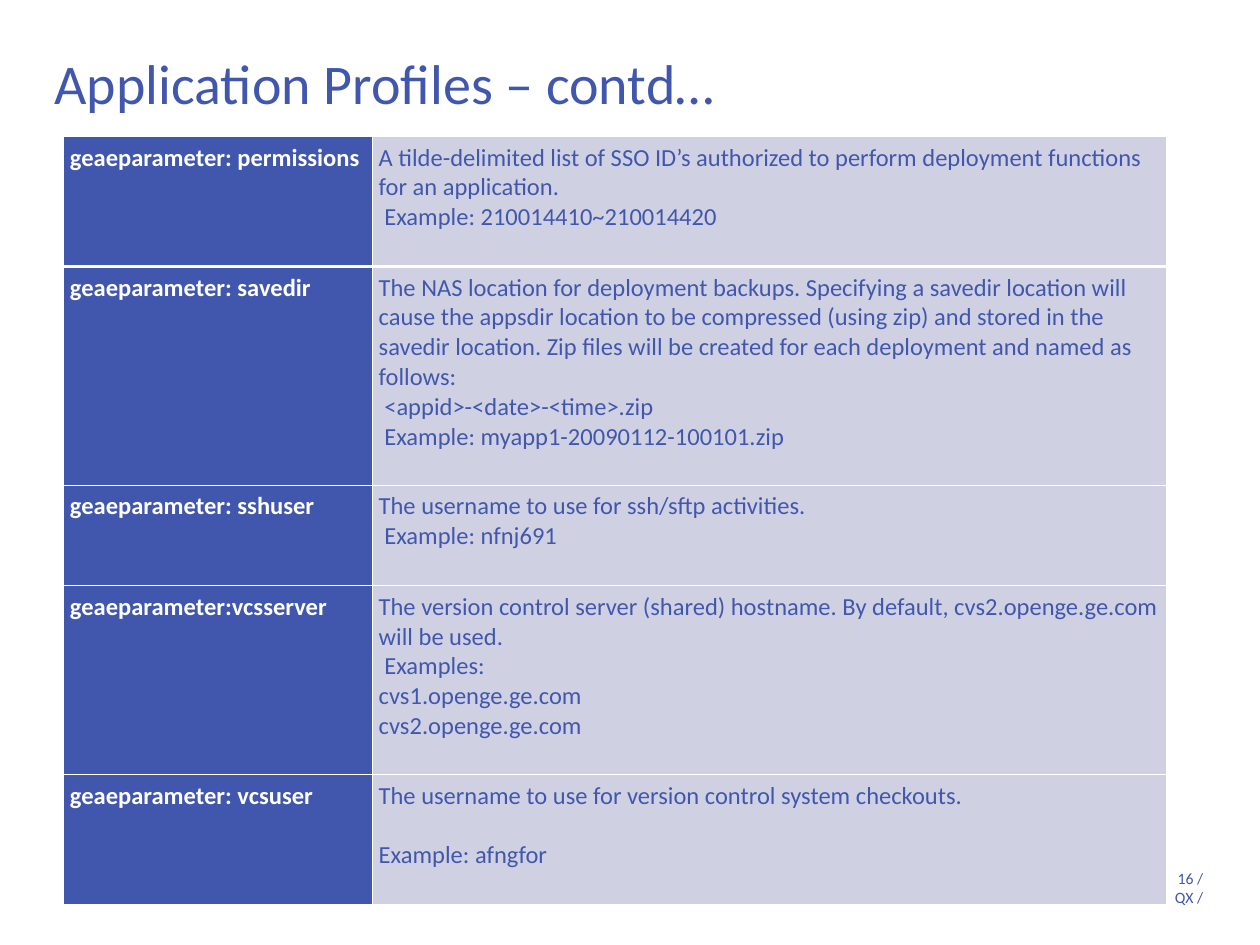
from lxml.etree import SubElement
from pptx import Presentation
from pptx.dml.color import RGBColor
from pptx.enum.text import MSO_ANCHOR, MSO_AUTO_SIZE, PP_ALIGN
from pptx.oxml.ns import qn
from pptx.util import Pt

BLUE = RGBColor(0x41, 0x57, 0xAD)
LAVENDER = RGBColor(0xCF, 0xD1, 0xE3)
WHITE = RGBColor(0xFF, 0xFF, 0xFF)
FONT = "Calibri"

COLUMN_WIDTHS = (176.4, 453.6)
THIN, THICK = 0.45, 1.47
HEADER_ROW = 0
EXAMPLE_INDENT = 3.2
LINE_GAP = 17

# Parameter, row height, description lines as (text, left indent, space before)
PROFILES = [
    ("geaeparameter: permissions", 74.3, [
        ("A tilde-delimited list of SSO ID’s authorized to perform deployment "
         "functions for an application.", 0, 0),
        ("Example: 210014410~210014420", EXAMPLE_INDENT, 0),
    ]),
    ("geaeparameter: savedir", 124.9, [
        ("The NAS location for deployment backups. Specifying a savedir location "
         "will cause the appsdir location to be compressed (using zip) and stored "
         "in the savedir location. Zip files will be created for each deployment "
         "and named as follows:", 0, 0),
        ("<appid>-<date>-<time>.zip", EXAMPLE_INDENT, 0),
        ("Example: myapp1-20090112-100101.zip", EXAMPLE_INDENT, 0),
    ]),
    ("geaeparameter: sshuser", 57.5, [
        ("The username to use for ssh/sftp activities.", 0, 0),
        ("Example: nfnj691", EXAMPLE_INDENT, 0),
    ]),
    ("geaeparameter:vcsserver", 108, [
        ("The version control server (shared) hostname. By default, "
         "cvs2.openge.ge.com will be used.", 0, 0),
        ("Examples:", EXAMPLE_INDENT, 0),
        ("cvs1.openge.ge.com", 0, 0),
        ("cvs2.openge.ge.com", 0, 0),
    ]),
    ("geaeparameter: vcsuser", 74.3, [
        ("The username to use for version control system checkouts.", 0, 0),
        ("Example: afngfor", 0, LINE_GAP),
    ]),
]


def style_font(paragraph, size, color, bold=False):
    font = paragraph.font
    font.name, font.size, font.bold = FONT, Pt(size), bold
    font.color.rgb = color


def add_title(slide, text):
    title = slide.shapes.title
    title.left, title.top, title.width, title.height = map(Pt, (24, 24, 498, 46))
    frame = title.text_frame
    frame.auto_size = MSO_AUTO_SIZE.NONE
    frame.vertical_anchor = MSO_ANCHOR.TOP
    frame.text = text
    heading = frame.paragraphs[0]
    heading.alignment = PP_ALIGN.LEFT
    style_font(heading, 32, BLUE)


def add_page_footer(slide, lines):
    footer = slide.shapes.add_textbox(Pt(370.8), Pt(496), Pt(316.8), Pt(32))
    frame = footer.text_frame
    frame.word_wrap = True
    frame.margin_left = frame.margin_right = frame.margin_top = frame.margin_bottom = 0
    frame.text = "\n".join(lines)
    for paragraph in frame.paragraphs:
        paragraph.alignment = PP_ALIGN.RIGHT
        paragraph.line_spacing = Pt(11)
        style_font(paragraph, 9, BLUE)


def draw_borders(cell, top, bottom):
    """Draw white borders; call before filling, as the schema puts lines first."""
    properties = cell._tc.get_or_add_tcPr()
    for side, width in (("L", THIN), ("R", THIN), ("T", top), ("B", bottom)):
        line = SubElement(properties, qn(f"a:ln{side}"), w=str(int(Pt(width))))
        fill = SubElement(line, qn("a:solidFill"))
        SubElement(fill, qn("a:srgbClr"), val=str(WHITE))


def fill_cell(cell, lines, background, color, bold=False):
    cell.fill.solid()
    cell.fill.fore_color.rgb = background
    cell.margin_left = cell.margin_right = Pt(3.6)
    cell.margin_top = cell.margin_bottom = Pt(3.6)
    cell.text = "\n".join(text for text, _, _ in lines)
    for paragraph, (_, indent, gap) in zip(cell.text_frame.paragraphs, lines):
        if indent:
            paragraph._p.get_or_add_pPr().set("marL", str(int(Pt(indent))))
        if gap:
            paragraph.space_before = Pt(gap)
        style_font(paragraph, 14, color, bold)


def add_profile_table(slide):
    height = sum(row_height for _, row_height, _ in PROFILES)
    table = slide.shapes.add_table(
        len(PROFILES), len(COLUMN_WIDTHS),
        Pt(36.4), Pt(78), Pt(sum(COLUMN_WIDTHS)), Pt(height)).table
    table.horz_banding = False
    for column, width in zip(table.columns, COLUMN_WIDTHS):
        column.width = Pt(width)
    for index, (parameter, row_height, description) in enumerate(PROFILES):
        row = table.rows[index]
        row.height = Pt(row_height)
        name_cell, description_cell = row.cells
        for cell in (name_cell, description_cell):
            draw_borders(cell,
                         top=THICK if index == HEADER_ROW + 1 else THIN,
                         bottom=THICK if index == HEADER_ROW else THIN)
        fill_cell(name_cell, [(parameter, 0, 0)], BLUE, WHITE, bold=True)
        fill_cell(description_cell, description, LAVENDER, BLUE)


def main():
    deck = Presentation()
    deck.slide_width, deck.slide_height = Pt(720), Pt(540)
    slide = deck.slides.add_slide(deck.slide_layouts.get_by_name("Title Only"))
    add_page_footer(slide, ["16 /", "QX /"])
    add_title(slide, "Application Profiles – contd…")
    add_profile_table(slide)
    deck.save("out.pptx")


if __name__ == "__main__":
    main()
